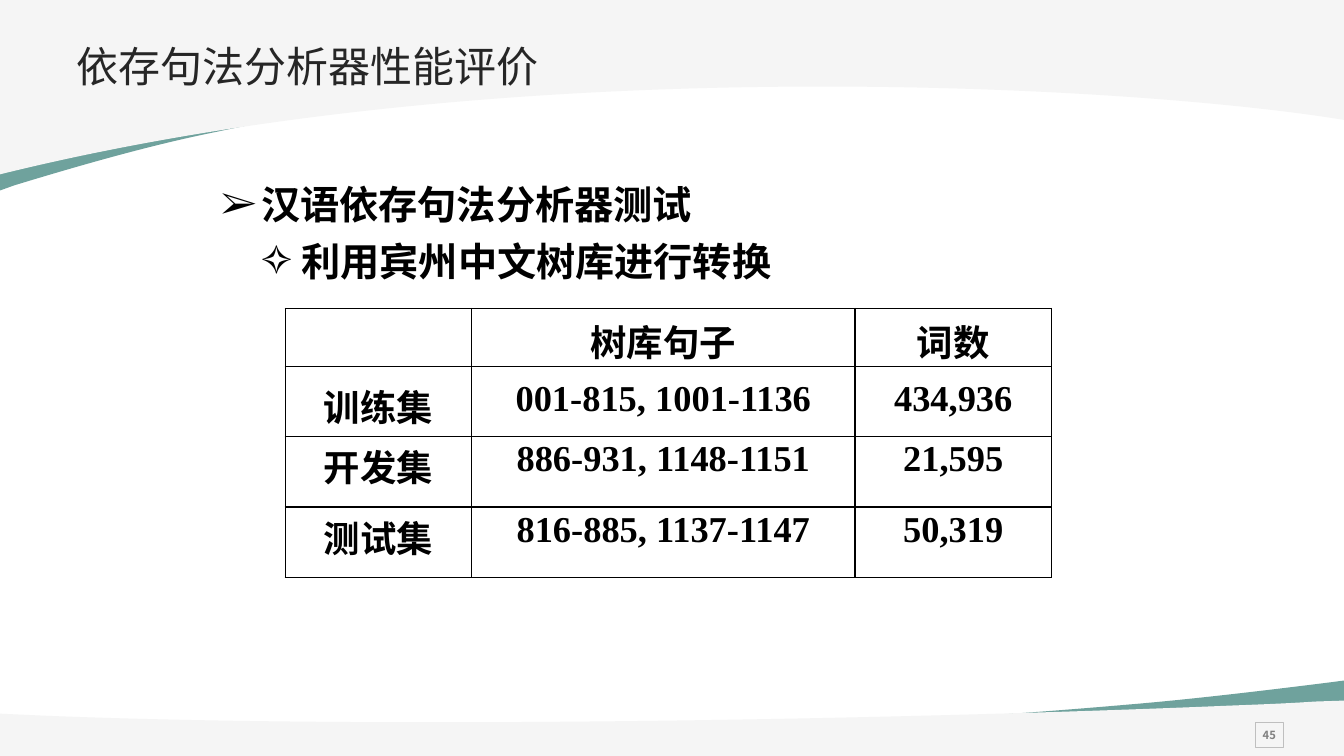
from lxml import etree
from pptx import Presentation
from pptx.dml.color import RGBColor
from pptx.enum import shapes, text
from pptx.oxml import ns
from pptx.util import Inches, Pt

BLACK = RGBColor(0, 0, 0)
INK = RGBColor(0x26, 0x26, 0x26)
GREY = RGBColor(0x80, 0x80, 0x80)
EDGE = RGBColor(0xBF, 0xBF, 0xBF)
PALE = RGBColor(0xF5, 0xF5, 0xF5)
TEAL = RGBColor(0x33, 0x7B, 0x74)
SANS, HAN, ROMAN = "Noto Sans CJK SC", "Noto Sans CJK TC", "Times New Roman"


def style(para, words, size, face, color, bold=True):
    run = para.add_run()
    run.text = words
    font = para.font
    font.size, font.bold, font.name = Pt(size), bold, face
    font.color.rgb = color
    for props in (font._element, run._r.get_or_add_rPr()):
        etree.SubElement(props, ns.qn("a:ea"), typeface=face)


def wave(start, parts, color):
    pen = slide.shapes.build_freeform(Inches(start[0]), Inches(start[1]))
    ends = [(Inches(part[-2]), Inches(part[-1])) for part in parts]
    pen.add_line_segments(ends, close=True)
    shape = pen.convert_to_shape()
    shape.shadow.inherit = False
    shape.fill.solid()
    shape.fill.fore_color.rgb = color
    shape.line.fill.background()
    steps = shape._element.spPr.findall(".//" + ns.qn("a:lnTo"))
    for step, part in zip(steps, parts):
        if len(part) == 6:
            step.tag = ns.qn("a:cubicBezTo")
            for i in (0, 2):
                x, y = Inches(part[i]) - shape.left, Inches(part[i + 1]) - shape.top
                step.insert(i // 2, etree.Element(ns.qn("a:pt"), x=str(x), y=str(y)))
    return shape


deck = Presentation()
deck.slide_width, deck.slide_height = Inches(13.33), Inches(7.5)
slide = deck.slides.add_slide(deck.slide_layouts[5])

waves = [
    ((0, 1.89), [(0, 0.22), (13.34, 0.22), (13.34, 0.91), (13.33, 0.91),
                 (10.32, 0.06, 5.14, 0.67, 2.14, 1.31),
                 (1.54, 1.43, 0.86, 1.62, 0.14, 1.84)], TEAL),
    ((0, 0), [(13.33, 0), (13.33, 1.19), (11.4, 0.87, 5.17, 0.45, 0, 1.73)], PALE),
    ((13.34, 6.75), [(13.34, 7.44), (0, 7.44), (0, 7.15), (0.01, 7.16),
                     (3.01, 7.5, 8.2, 7.25, 11.19, 6.99),
                     (11.79, 6.94, 12.47, 6.86, 13.19, 6.77)], TEAL),
    ((13.34, 6.95), [(13.34, 7.5), (0, 7.5), (0, 7.08), (0.44, 7.1),
                     (3.92, 7.24, 9.1, 7.13, 12.2, 7),
                     (12.46, 6.99, 12.75, 6.98, 13.04, 6.96)], PALE),
]
for start, parts, color in waves:
    shape = wave(start, parts, color)
    if color == TEAL:
        tint = shape._element.spPr.find(".//" + ns.qn("a:srgbClr"))
        etree.SubElement(tint, ns.qn("a:alpha"), val="70000")

page = slide.shapes.add_shape(shapes.MSO_SHAPE.RECTANGLE, Inches(12.45),
                              Inches(7.17), Inches(0.28), Inches(0.25))
page.shadow.inherit = False
page.fill.background()
page.line.color.rgb, page.line.width = EDGE, Pt(0.75)
frame = page.text_frame
frame.word_wrap = False
frame.vertical_anchor = text.MSO_ANCHOR.MIDDLE
frame.margin_left = frame.margin_right = Inches(0.08)
frame.margin_top = frame.margin_bottom = Inches(0.08)
frame.paragraphs[0].alignment = text.PP_ALIGN.CENTER
style(frame.paragraphs[0], "45", 8, SANS, GREY)

box = slide.shapes.add_textbox(Inches(2.18), Inches(1.68), Inches(6.71), Inches(1.14))
frame = box.text_frame
frame.word_wrap = True
frame.margin_left = frame.margin_right = frame.margin_bottom = 0
frame.margin_top = Inches(0.11)
points = [("➢", "汉语依存句法分析器测试", 0.41, 7.7),
          ("✧", "利用宾州中文树库进行转换", 0.81, 6.7)]
for level, (mark, words, left, gap) in enumerate(points):
    para = frame.add_paragraph() if level else frame.paragraphs[0]
    para.level, para.space_before = level, Pt(gap)
    props = para._p.get_or_add_pPr()
    props.set("marL", str(Inches(left)))
    props.set("indent", str(Inches(-0.4)))
    etree.SubElement(props, ns.qn("a:buFont"), typeface=ROMAN)
    etree.SubElement(props, ns.qn("a:buChar"), char=mark)
    style(para, words, 28, HAN, BLACK)

rows = [("", "树库句子", "词数"),
        ("训练集", "001-815, 1001-1136", "434,936"),
        ("开发集", "886-931, 1148-1151", "21,595"),
        ("测试集", "816-885, 1137-1147", "50,319")]
layout = [(0.58, 0.06, 4.6), (0.69, 0.12, 8.5), (0.7, 0.03, 2.2), (0.7, 0.03, 2.3)]
holder = slide.shapes.add_table(4, 3, Inches(2.83), Inches(3.06),
                                Inches(7.6), Inches(2.67))
table = holder.table
table.first_row = table.horz_banding = False
for col, width in zip(table.columns, (1.85, 3.8, 1.95)):
    col.width = Inches(width)
for r, (row, (high, top, gap)) in enumerate(zip(rows, layout)):
    table.rows[r].height = Inches(high)
    for c, words in enumerate(row):
        cell = table.cell(r, c)
        cell.margin_left = cell.margin_right = cell.margin_bottom = 0
        cell.margin_top = Inches(top)
        cell.fill.background()
        props = cell._tc.get_or_add_tcPr()
        for i, side in enumerate("LRTB"):
            line = etree.Element(ns.qn("a:ln" + side), w=str(Pt(1)))
            fill = etree.SubElement(line, ns.qn("a:solidFill"))
            etree.SubElement(fill, ns.qn("a:srgbClr"), val=str(BLACK))
            props.insert(i, line)
        if words:
            para = cell.text_frame.paragraphs[0]
            para.alignment = text.PP_ALIGN.CENTER
            para.space_before = Pt(gap)
            style(para, words, 26, ROMAN if r and c else HAN, BLACK)

title = slide.shapes.title
title.left, title.top = Inches(0.66), Inches(0.41)
title.width, title.height = Inches(11.87), Inches(0.63)
frame = title.text_frame
frame.vertical_anchor = text.MSO_ANCHOR.TOP
para = frame.paragraphs[0]
para.alignment = text.PP_ALIGN.LEFT
para.line_spacing = 0.9
style(para, "依存句法分析器性能评价", 30, SANS, INK, False)
slide.shapes._spTree.append(title._element)

deck.save("out.pptx")
